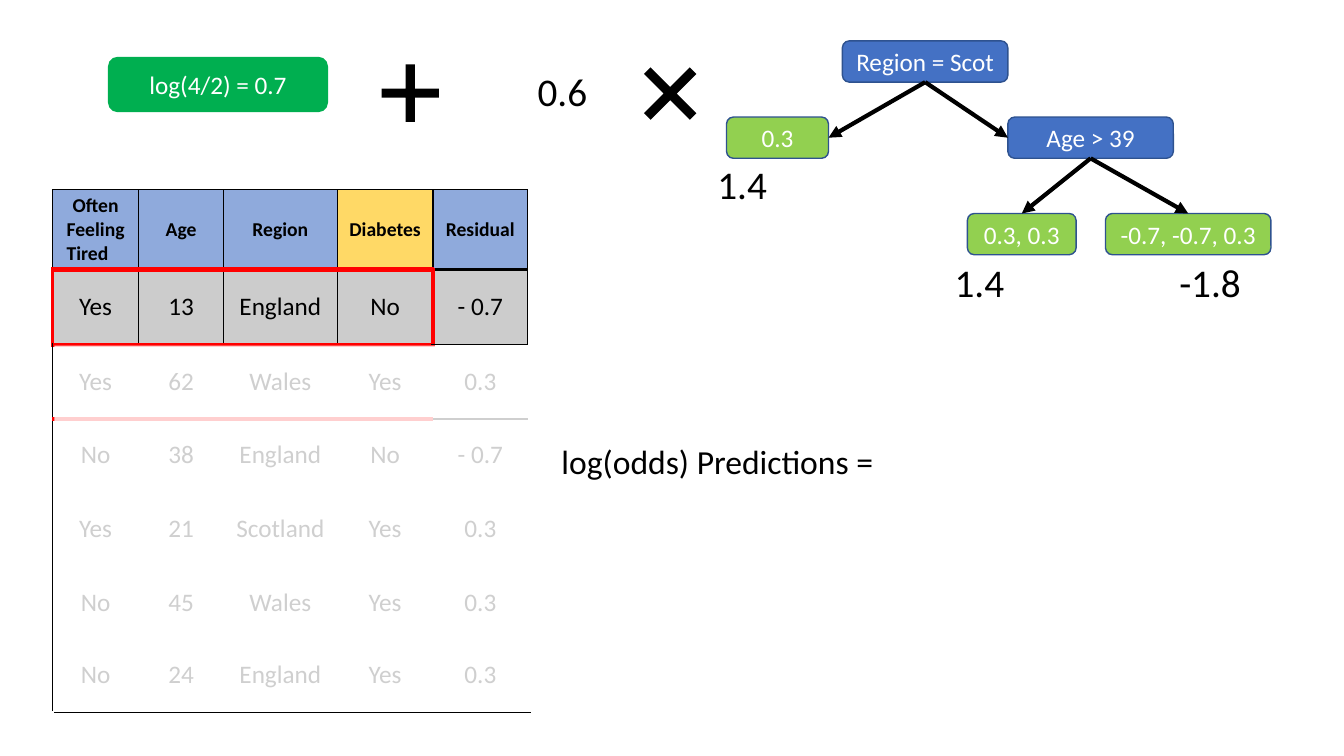
from lxml import etree
from pptx import Presentation
from pptx.dml.color import RGBColor
from pptx.enum.shapes import MSO_CONNECTOR, MSO_SHAPE
from pptx.enum.text import MSO_ANCHOR, PP_ALIGN
from pptx.oxml.ns import qn
from pptx.util import Cm, Pt

BLACK, WHITE, RED = "000000", "FFFFFF", "FF0000"
BLUE, GREEN, DARK_GREEN, OUTLINE = "4471C4", "92D050", "00AF50", "2E528F"
HEADER_BLUE, HEADER_YELLOW, HIGHLIGHT = "8FAADC", "FFD966", "CCCCCC"


def color(hex_string):
    return RGBColor.from_string(hex_string)


def write(text_frame, text, size, hex_string, align=PP_ALIGN.CENTER, bold=False):
    text_frame.text = text
    text_frame.word_wrap = True
    text_frame.vertical_anchor = MSO_ANCHOR.MIDDLE
    text_frame.margin_left = text_frame.margin_right = 0
    text_frame.margin_top = text_frame.margin_bottom = 0
    paragraph = text_frame.paragraphs[0]
    paragraph.alignment = align
    for run in paragraph.runs:
        run.font.name = "Calibri"
        run.font.size = Pt(size)
        run.font.bold = bold
        run.font.color.rgb = color(hex_string)


presentation = Presentation()
presentation.slide_width, presentation.slide_height = Cm(33.87), Cm(19.05)
slide = presentation.slides.add_slide(presentation.slide_layouts[6])
shapes = slide.shapes

# Initial prediction and tree nodes: text, left, top, width, height, fill, line
node_specs = {
    "initial": ("log(4/2) = 0.7", 2.74, 1.45, 5.51, 1.36, DARK_GREEN, DARK_GREEN),
    "region": ("Region = Scot", 21.23, 1.03, 4.17, 1.04, BLUE, OUTLINE),
    "scotland": ("0.3", 18.31, 2.95, 2.57, 1.04, GREEN, OUTLINE),
    "age": ("Age > 39", 25.4, 2.95, 4.17, 1.04, BLUE, OUTLINE),
    "older": ("0.3, 0.3", 24.38, 5.38, 2.74, 1.04, GREEN, OUTLINE),
    "younger": ("-0.7, -0.7, 0.3", 27.86, 5.38, 4.17, 1.04, GREEN, OUTLINE),
}
nodes = {}
for name, (text, left, top, width, height, fill, line) in node_specs.items():
    node = shapes.add_shape(MSO_SHAPE.ROUNDED_RECTANGLE,
                            Cm(left), Cm(top), Cm(width), Cm(height))
    node.shadow.inherit = False
    node.fill.solid()
    node.fill.fore_color.rgb = color(fill)
    node.line.color.rgb = color(line)
    node.line.width = Pt(1)
    write(node.text_frame, text, 18, WHITE)
    nodes[name] = node

# Tree branches: parent, child, side of the child; the last line closes the table
branches = [("region", "scotland", 3), ("region", "age", 1),
            ("age", "older", 0), ("age", "younger", 0), (None, None, None)]
for parent, child, side in branches:
    line = shapes.add_connector(MSO_CONNECTOR.STRAIGHT,
                                Cm(1.37), Cm(17.96), Cm(13.39), Cm(17.96))
    line.line.color.rgb = color(BLACK)
    line.line.width = Pt(3 if parent else 0.75)
    if parent:
        line.begin_connect(nodes[parent], 2)
        line.end_connect(nodes[child], side)
        etree.SubElement(line.line._get_or_add_ln(), qn("a:tailEnd"), type="triangle")
    etree.SubElement(line._element.spPr, qn("a:effectLst"))

# Plus and times signs: shape, centre x, centre y, size, thickness
for kind, x, y, size, thickness in [
    (MSO_SHAPE.MATH_PLUS, 10.34, 2.35, 1.97, 0.116),
    (MSO_SHAPE.MATH_MULTIPLY, 16.89, 2.36, 2.22, 0.105),
]:
    sign = shapes.add_shape(kind, Cm(x - size / 2), Cm(y - size / 2), Cm(size), Cm(size))
    sign.adjustments[0] = thickness
    sign.shadow.inherit = False
    sign.fill.solid()
    sign.fill.fore_color.rgb = color(BLACK)
    sign.line.fill.background()

# Learning rate, leaf outputs and formula
for text, left, top, width, size in [
    ("0.6", 13.55, 1.7, 1.6, 28),
    ("1.4", 18.08, 4.04, 1.6, 28),
    ("1.4", 24.06, 6.5, 1.6, 28),
    ("-1.8", 29.72, 6.5, 2, 28),
    ("log(odds) Predictions =", 14.15, 11.1, 8.4, 24),
]:
    box = shapes.add_textbox(Cm(left), Cm(top), Cm(width), Cm(size * 0.043))
    write(box.text_frame, text, size, BLACK, PP_ALIGN.LEFT)

# Data table
rows = [
    ["Often Feeling Tired", "Age", "Region", "Diabetes", "Residual"],
    ["Yes", "13", "England", "No", "- 0.7"],
    ["Yes", "62", "Wales", "Yes", "0.3"],
    ["No", "38", "England", "No", "- 0.7"],
    ["Yes", "21", "Scotland", "Yes", "0.3"],
    ["No", "45", "Wales", "Yes", "0.3"],
    ["No", "24", "England", "Yes", "0.3"],
]
column_widths = [2.18, 2.13, 2.87, 2.41, 2.39]
row_heights = [2.01, 1.9, 1.87, 1.83, 1.86, 1.86, 1.81]
table = shapes.add_table(len(rows), len(column_widths), Cm(1.32), Cm(4.78),
                         Cm(sum(column_widths)), Cm(sum(row_heights))).table
table.first_row = table.horz_banding = False
for column, width in zip(table.columns, column_widths):
    column.width = Cm(width)
for row, height in zip(table.rows, row_heights):
    row.height = Cm(height)

# Grid lines by row and edge; horizontal ones differ in the residual column
inner = (BLACK, 0.75)
vertical = {
    0: [(BLACK, 1), inner, inner, inner, (BLACK, 1.5), (BLACK, 1)],
    1: [(RED, 3), inner, inner, inner, (RED, 3), (BLACK, 1)],
}
faded_vertical = [(BLACK, 1)] + [None] * 5
horizontal = {0: [(BLACK, 1), (BLACK, 1)], 1: [(RED, 4.5), (BLACK, 2.25)],
              2: [(RED, 3), (BLACK, 1)], 3: [(RED, 3), (BLACK, 1)]}

for r, texts in enumerate(rows):
    for c, text in enumerate(texts):
        cell = table.cell(r, c)
        header = r == 0
        write(cell.text_frame, text, 14 if header else 18, BLACK, bold=header)
        cell.vertical_anchor = MSO_ANCHOR.MIDDLE
        cell.margin_left = cell.margin_right = cell.margin_top = cell.margin_bottom = 0

        sides = vertical.get(r, faded_vertical)
        residual = int(c == 4)
        edges = {"a:lnL": sides[c], "a:lnR": sides[c + 1],
                 "a:lnT": horizontal.get(r, [None, None])[residual],
                 "a:lnB": horizontal.get(r + 1, [None, None])[residual]}
        properties = cell._tc.get_or_add_tcPr()
        for tag, edge in edges.items():
            border = etree.SubElement(properties, qn(tag))
            if edge:
                border.set("w", str(Pt(edge[1])))
                solid = etree.SubElement(border, qn("a:solidFill"))
                etree.SubElement(solid, qn("a:srgbClr"), val=edge[0])
            else:
                etree.SubElement(border, qn("a:noFill"))

        if r > 1:
            cell.fill.background()
        else:
            cell.fill.solid()
            header_fill = HEADER_YELLOW if c == 3 else HEADER_BLUE
            cell.fill.fore_color.rgb = color(header_fill if header else HIGHLIGHT)

# First heading is justified, with an indented first line
heading = table.cell(0, 0).text_frame.paragraphs[0]
heading.alignment = PP_ALIGN.JUSTIFY
heading_properties = heading._p.get_or_add_pPr()
heading_properties.set("marL", str(Cm(0.36)))
heading_properties.set("indent", str(Cm(0.15)))

# White veil over the remaining rows
veil = shapes.add_shape(MSO_SHAPE.RECTANGLE, Cm(1.37), Cm(8.71), Cm(12.01), Cm(9.22))
veil.shadow.inherit = False
veil.fill.solid()
veil.fill.fore_color.rgb = color(WHITE)
veil.line.fill.background()
veil_color = veil._element.spPr.find(qn("a:solidFill")).find(qn("a:srgbClr"))
etree.SubElement(veil_color, qn("a:alpha"), val="81000")

presentation.save("out.pptx")
